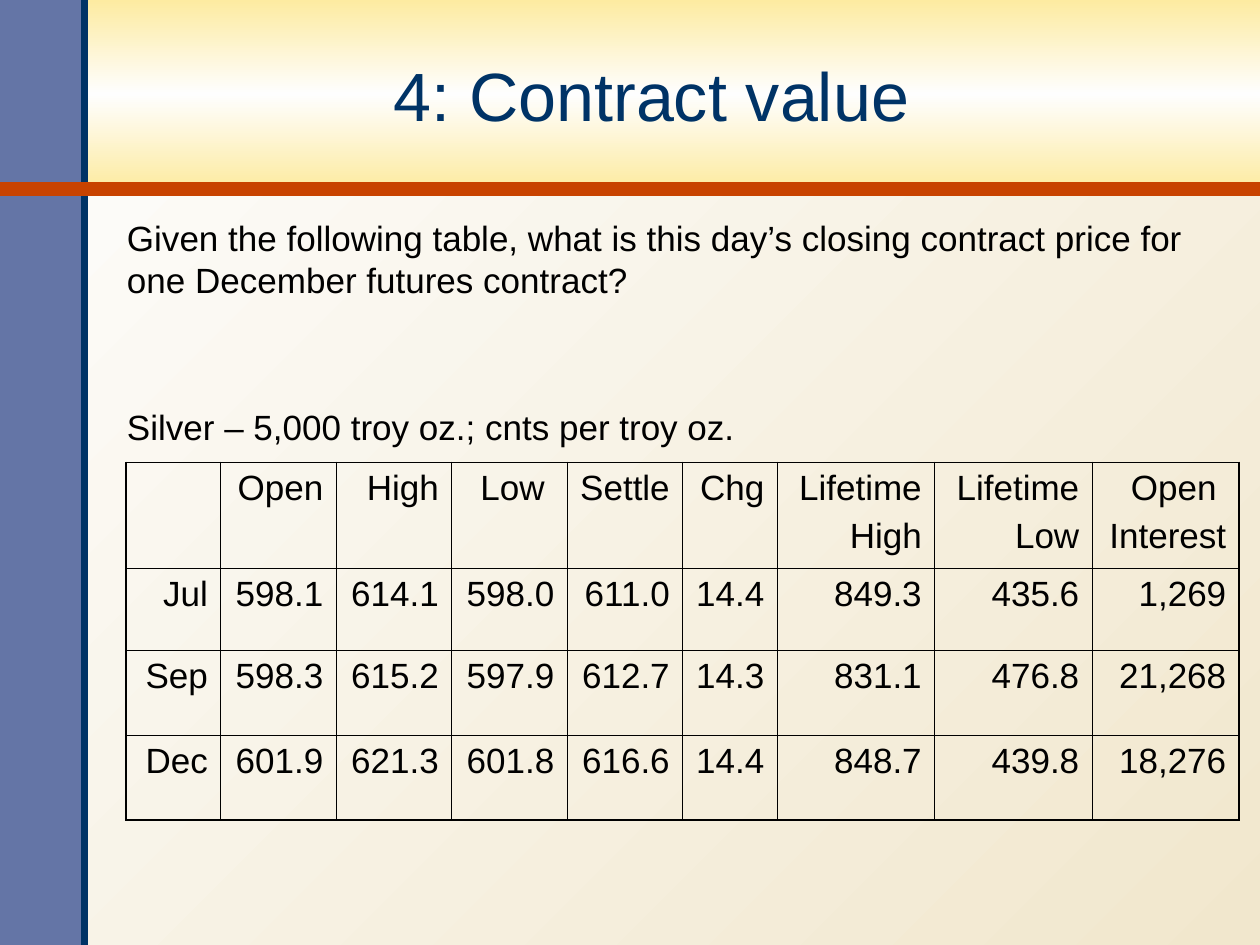
from copy import deepcopy
from dataclasses import dataclass

from lxml import etree
from pptx import Presentation
from pptx.dml.color import RGBColor
from pptx.enum.shapes import MSO_CONNECTOR, MSO_SHAPE
from pptx.enum.text import MSO_ANCHOR, MSO_AUTO_SIZE, PP_ALIGN
from pptx.oxml.ns import qn
from pptx.util import Inches, Pt

RECT = MSO_SHAPE.RECTANGLE
STRAIGHT = MSO_CONNECTOR.STRAIGHT
LEFT, CENTER, RIGHT = PP_ALIGN.LEFT, PP_ALIGN.CENTER, PP_ALIGN.RIGHT
MIDDLE = MSO_ANCHOR.MIDDLE
GROW = MSO_AUTO_SIZE.SHAPE_TO_FIT_TEXT
TITLE_ONLY = 5


@dataclass(frozen=True)
class Theme:
    font: str = "Arial"
    title_size: float = 39
    body_size: float = 20
    ink: str = "000000"
    navy: str = "003366"
    sidebar: str = "6475A6"
    rule: str = "C84300"
    paper: str = "FEFEFE"
    sand: str = "F1E7CD"
    gold: str = "FDEBA1"
    outer_line: float = 1.08
    inner_line: float = 0.45


THEME = Theme()
WIDTH, HEIGHT = 10, 7.5
BAND_HEIGHT, SIDEBAR_WIDTH = 1.5, 0.67

QUESTION = ("Given the following table, what is this day’s closing contract price for\n"
            "one December futures contract?")
CAPTION = "Silver – 5,000 troy oz.; cnts per troy oz."
# Column widths in twelfths of an inch
COLUMNS = [n / 12 for n in (9, 11, 11, 11, 11, 9, 15, 15, 14)]
ROWS = [0.84, 0.65, 0.68, 0.67]
PRICES = [
    ["", "Open", "High", "Low ", "Settle", "Chg",
     "Lifetime\nHigh", "Lifetime\nLow", "Open \nInterest"],
    ["Jul", "598.1", "614.1", "598.0", "611.0", "14.4", "849.3", "435.6", "1,269"],
    ["Sep", "598.3", "615.2", "597.9", "612.7", "14.3", "831.1", "476.8", "21,268"],
    ["Dec", "601.9", "621.3", "601.8", "616.6", "14.4", "848.7", "439.8", "18,276"],
]


def rgb(color):
    return RGBColor.from_string(color)


def write(tf, text, size=THEME.body_size, color=THEME.ink, align=LEFT, gap=0):
    """Write one paragraph per line, with a gap between paragraphs."""
    for i, line in enumerate(text.split("\n")):
        p = tf.paragraphs[0] if i == 0 else tf.add_paragraph()
        p.alignment = align
        p.space_before = Pt(gap if i else 0)
        r = p.add_run()
        r.text = line
        r.font.name, r.font.size = THEME.font, Pt(size)
        r.font.color.rgb = rgb(color)


def shade(fill, colors, angle):
    """Fill with evenly spaced gradient stops."""
    fill.gradient()
    fill.gradient_angle = angle
    first = fill.gradient_stops[0]._gs
    for _ in colors[2:]:
        first.addnext(deepcopy(first))
    for i, (stop, color) in enumerate(zip(fill.gradient_stops, colors)):
        stop.position = i / (len(colors) - 1)
        stop.color.rgb = rgb(color)


def add_block(s, x, y, w, h):
    sp = s.shapes.add_shape(RECT, Inches(x), Inches(y), Inches(w), Inches(h))
    sp.shadow.inherit = False
    sp.line.fill.background()
    return sp


def add_line(s, x1, y1, x2, y2, color, width):
    line = s.shapes.add_connector(STRAIGHT, Inches(x1), Inches(y1), Inches(x2), Inches(y2))
    line.line.color.rgb = rgb(color)
    line.line.width = Pt(width)
    etree.SubElement(line._element.spPr, qn("a:effectLst"))


def add_frame(s, x, y, w, h):
    """Background, title band, sidebar and their rules."""
    shade(s.background.fill, [THEME.sand, THEME.paper], 135)
    band = add_block(s, x, y, w, BAND_HEIGHT)
    shade(band.fill, [THEME.gold, THEME.paper, THEME.gold], 270)
    sidebar = add_block(s, x, y, SIDEBAR_WIDTH, h)
    sidebar.fill.solid()
    sidebar.fill.fore_color.rgb = rgb(THEME.sidebar)
    edge, base = x + SIDEBAR_WIDTH, y + BAND_HEIGHT
    add_line(s, edge, y + h, edge, y, THEME.navy, 4)
    add_line(s, x, base, x + w, base, THEME.rule, 8)


def add_title(s, text, x, y, w, h):
    title = s.shapes.title
    title.left, title.top = Inches(x), Inches(y)
    title.width, title.height = Inches(w), Inches(h)
    title.text_frame.vertical_anchor = MIDDLE
    write(title.text_frame, text, size=THEME.title_size, color=THEME.navy, align=CENTER)
    s.shapes._spTree.append(title._element)  # bring in front of the band


def add_text(s, text, x, y, w, h):
    tf = s.shapes.add_textbox(Inches(x), Inches(y), Inches(w), Inches(h)).text_frame
    tf.word_wrap = True
    tf.auto_size = GROW
    write(tf, text)


def set_borders(cell, widths):
    """Draw left, right, top and bottom borders, in that order."""
    tc_pr = cell._tc.get_or_add_tcPr()
    for i, (side, width) in enumerate(zip("LRTB", widths)):
        ln = etree.Element(qn(f"a:ln{side}"), w=str(Pt(width)))
        fill = etree.SubElement(ln, qn("a:solidFill"))
        etree.SubElement(fill, qn("a:srgbClr"), val=THEME.ink)
        tc_pr.insert(i, ln)


def add_price_table(s, x, y, w, h):
    table = s.shapes.add_table(len(ROWS), len(COLUMNS), Inches(x), Inches(y),
                               Inches(w), Inches(h)).table
    table.first_row = table.horz_banding = False
    for column, width in zip(table.columns, COLUMNS):
        column.width = Inches(width)
    for row, height in zip(table.rows, ROWS):
        row.height = Inches(height)
    last_row, last_column = len(ROWS) - 1, len(COLUMNS) - 1
    for i, values in enumerate(PRICES):
        for j, value in enumerate(values):
            cell = table.cell(i, j)
            cell.fill.background()
            on_edge = (j == 0, j == last_column, i == 0, i == last_row)
            set_borders(cell, [THEME.outer_line if outer else THEME.inner_line
                               for outer in on_edge])
            if value:
                write(cell.text_frame, value, align=RIGHT, gap=5)


def main():
    prs = Presentation()
    prs.slide_width, prs.slide_height = Inches(WIDTH), Inches(HEIGHT)
    s = prs.slides.add_slide(prs.slide_layouts[TITLE_ONLY])
    add_frame(s, 0, 0, WIDTH, HEIGHT)
    add_title(s, "4: Contract value", 0.65, 0.15, 9.04, 1.2)
    add_price_table(s, 1, 3.67, sum(COLUMNS), sum(ROWS))
    add_text(s, CAPTION, 0.91, 3.17, 5.2, 0.44)
    add_text(s, QUESTION, 0.91, 1.67, 8.7, 0.77)
    prs.save("out.pptx")


if __name__ == "__main__":
    main()
